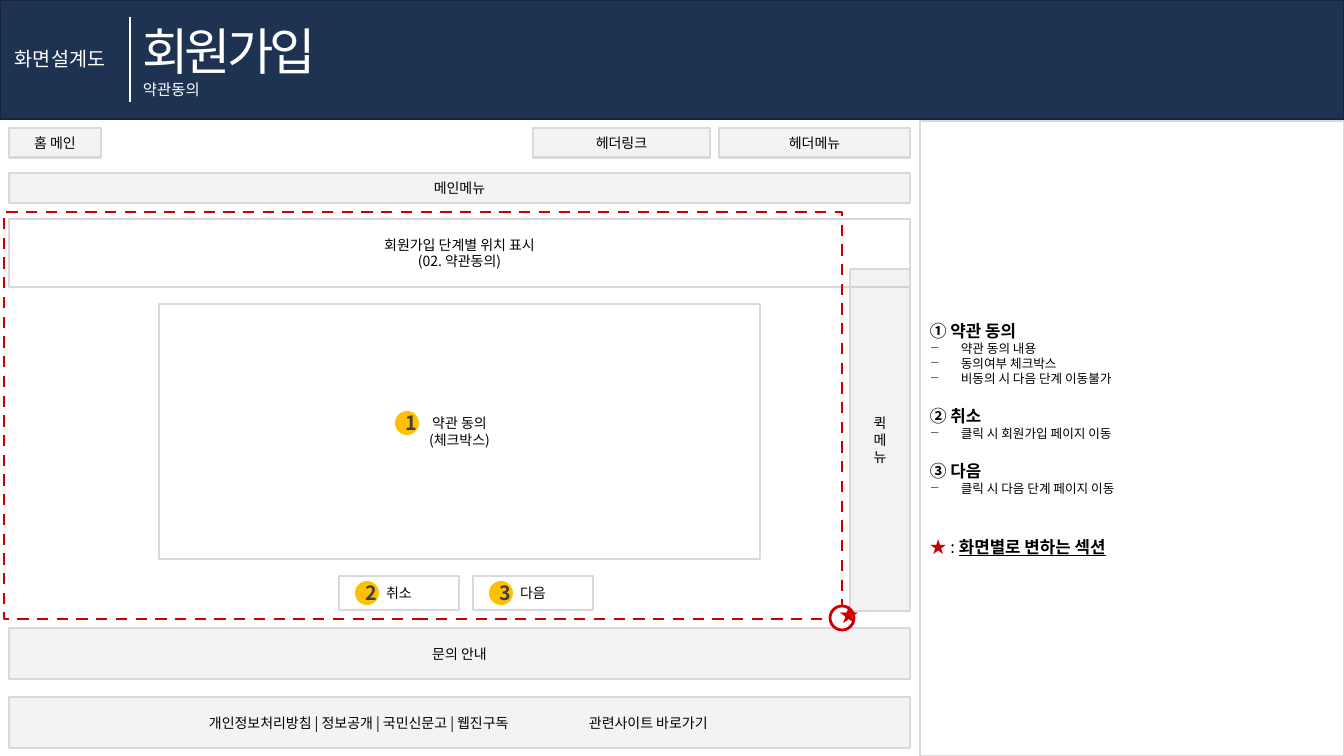
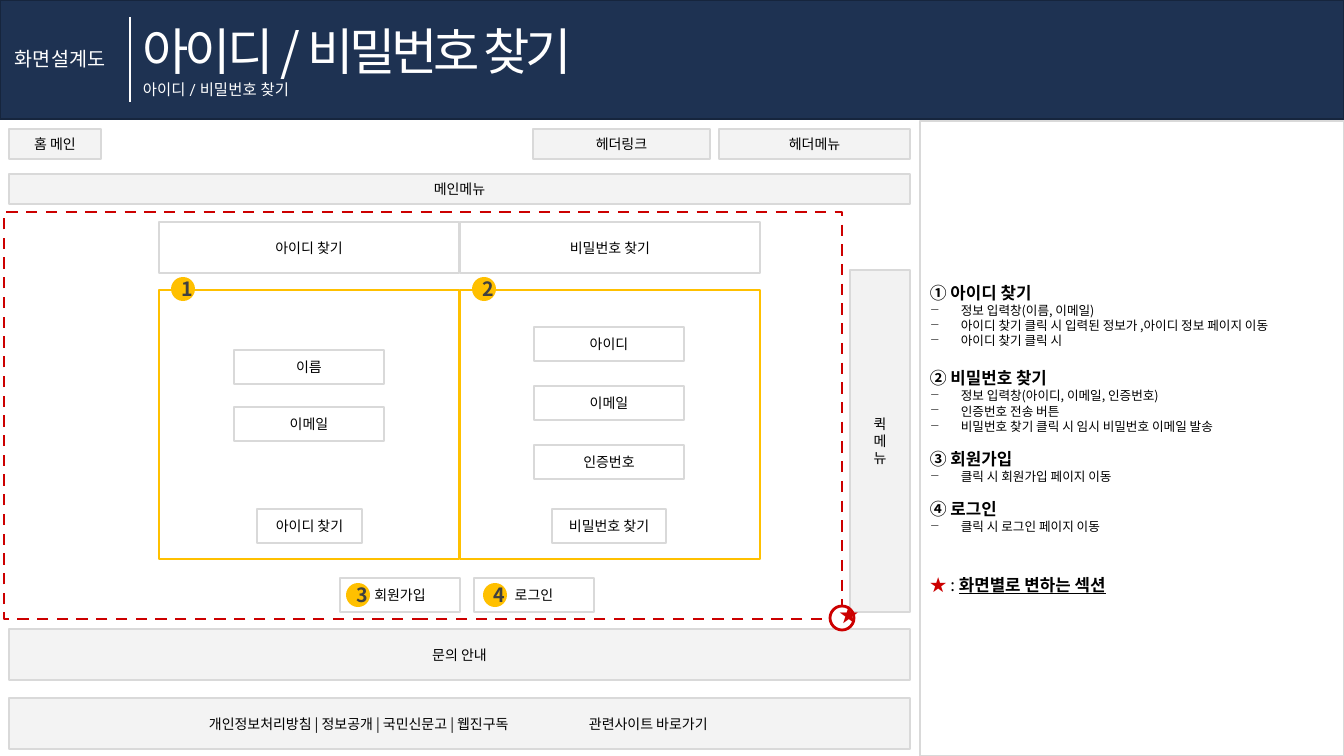
from dataclasses import dataclass

from lxml.etree import SubElement
from pptx import Presentation
from pptx.dml.color import RGBColor
from pptx.enum.dml import MSO_LINE_DASH_STYLE as Dash
from pptx.enum.shapes import MSO_CONNECTOR, MSO_SHAPE
from pptx.enum.text import MSO_ANCHOR, MSO_AUTO_SIZE, PP_ALIGN
from pptx.oxml.ns import qn
from pptx.util import Emu, Pt

PX = 914400 / 100.8
NOTO, ROBOTO = "Noto Sans CJK KR", "Roboto"
NAVY, NAVY_EDGE = "1E3252", "16253D"
WHITE, BLACK, GRAY, SILVER = "FFFFFF", "000000", "D9D9D9", "BFBFBF"
RED, AMBER, CHARCOAL = "CC0000", "FFC000", "404040"
LINE_RATIO = 1.2
NOTE_INDENT = 31
BADGE_SIZE = 24
FOOTER_LINKS = "개인정보처리방침 | 정보공개 | 국민신문고 | 웹진구독"
FOOTER_SITES = "관련사이트 바로가기"


@dataclass(frozen=True)
class Box:
    x: int
    y: int
    w: int
    h: int
    text: str = ""


@dataclass(frozen=True)
class Style:
    fill: str | None = WHITE
    line: str | None = GRAY
    width: float = 1
    alpha: int = 100
    dashed: bool = False


@dataclass(frozen=True)
class Note:
    title: str
    items: tuple[str, ...]
    gap: int = 20


@dataclass(frozen=True)
class Badge:
    x: int
    y: int
    number: int


@dataclass(frozen=True)
class Screen:
    title: str
    title_w: int
    subtitle: str
    subtitle_w: int
    shift: int
    boxes: tuple[Box, ...]
    notes: tuple[Note, ...]
    badges: tuple[Badge, ...]
    panels: tuple[Box, ...] = ()


PLAIN = Style()
FRAME = Style(GRAY, GRAY, 2, 30)
QUICK = Style(SILVER, GRAY, 2, 20)
BAND = Style(NAVY, NAVY_EDGE)
SECTION = Style(None, RED, 2, dashed=True)
MARKER = Style(WHITE, RED, 2)
DOT = Style(AMBER, None)
PANEL = Style(WHITE, AMBER, 2)

FRAME_BOXES = (
    Box(9, 173, 901, 30, "메인메뉴"),
    Box(9, 128, 92, 30, "홈 메인"),
    Box(719, 128, 191, 30, "헤더메뉴"),
    Box(533, 128, 177, 30, "헤더링크"),
    Box(9, 628, 901, 51, "문의 안내"),
)

SCREENS = (
    Screen(
        "회원가입", 207, "약관동의", 83, 0,
        boxes=(
            Box(9, 219, 901, 68, "회원가입 단계별 위치 표시\n(02. 약관동의)"),
            Box(159, 304, 601, 255, "약관 동의\n(체크박스)"),
            Box(339, 576, 120, 34, "취소"),
            Box(473, 576, 120, 34, "다음"),
        ),
        notes=(
            Note("① 약관 동의", ("약관 동의 내용", "동의여부 체크박스", "비동의 시 다음 단계 이동불가")),
            Note("② 취소", ("클릭 시 회원가입 페이지 이동",)),
            Note("③ 다음", ("클릭 시 다음 단계 페이지 이동",)),
        ),
        badges=(Badge(489, 581, 3), Badge(395, 411, 1), Badge(355, 581, 2)),
    ),
    Screen(
        "아이디 / 비밀번호 찾기", 497, "아이디 / 비밀번호 찾기", 176, 1,
        boxes=(
            Box(159, 222, 300, 51, "아이디 찾기"),
            Box(460, 222, 300, 51, "비밀번호 찾기"),
            Box(257, 509, 105, 34, "아이디 찾기"),
            Box(552, 509, 114, 34, "비밀번호 찾기"),
            Box(340, 578, 120, 34, "회원가입"),
            Box(474, 578, 120, 34, "로그인"),
            *(Box(234, 350 + 57 * i, 150, 34, t) for i, t in enumerate(("이름", "이메일"))),
            *(Box(534, 327 + 59 * i, 150, 34, t) for i, t in enumerate(("아이디", "이메일", "인증번호"))),
        ),
        notes=(
            Note("① 아이디 찾기", (
                "정보 입력창(이름, 이메일)",
                "아이디 찾기 클릭 시 입력된 정보가 ,아이디 정보 페이지 이동",
                "아이디 찾기 클릭 시",
            )),
            Note("② 비밀번호 찾기", (
                "정보 입력창(아이디, 이메일, 인증번호)",
                "인증번호 전송 버튼",
                "비밀번호 찾기 클릭 시 임시 비밀번호 이메일 발송",
            )),
            Note("③ 회원가입", ("클릭 시 회원가입 페이지 이동",), 15),
            Note("④ 로그인", ("클릭 시 로그인 페이지 이동",), 15),
        ),
        badges=(Badge(346, 583, 3), Badge(483, 583, 4), Badge(171, 277, 1), Badge(472, 277, 2)),
        panels=(Box(159, 290, 300, 269), Box(460, 290, 300, 269)),
    ),
)


def px(n: int) -> Emu:
    return Emu(round(n * PX))


def rgb(value: str) -> RGBColor:
    return RGBColor.from_string(value)


def place(box: Box, dy: int = 0) -> tuple[Emu, Emu, Emu, Emu]:
    return px(box.x), px(box.y + dy), px(box.w), px(box.h)


def add_run(p, text: str, size: int, color: str = BLACK, font: str = NOTO,
            bold: bool = False, underline: bool = False):
    r = p.add_run()
    r.text = text
    r.font.name = font
    r.font.size = Pt(size)
    r.font.bold = bold
    if underline:
        r.font.underline = True
    r.font.color.rgb = rgb(color)
    SubElement(r.font._element, qn("a:ea")).set("typeface", font)
    return r


def new_paragraph(tf, first: bool, size: int, align=PP_ALIGN.LEFT, before: int = 0):
    p = tf.paragraphs[0] if first else tf.add_paragraph()
    p.alignment = align
    p.line_spacing = Pt(size * LINE_RATIO)
    if before:
        p.space_before = px(before)
    return p


def add_shape(s, box: Box, style: Style, kind=MSO_SHAPE.RECTANGLE, dy: int = 0):
    sp = s.shapes.add_shape(kind, *place(box, dy))
    sp.shadow.inherit = False
    if style.fill:
        sp.fill.solid()
        sp.fill.fore_color.rgb = rgb(style.fill)
        if style.alpha < 100:
            color = sp.fill._xPr.find(qn("a:solidFill"))[0]
            SubElement(color, qn("a:alpha")).set("val", str(style.alpha * 1000))
    else:
        sp.fill.background()
    if style.line:
        sp.line.color.rgb = rgb(style.line)
        sp.line.width = Pt(style.width)
        if style.dashed:
            sp.line.dash_style = Dash.DASH
    else:
        sp.line.fill.background()
    sp.text_frame.word_wrap = True
    sp.text_frame.vertical_anchor = MSO_ANCHOR.MIDDLE
    return sp


def add_box(s, box: Box, style: Style, dy: int = 0) -> None:
    tf = add_shape(s, box, style, dy=dy).text_frame
    for i, line in enumerate(box.text.splitlines()):
        add_run(new_paragraph(tf, i == 0, 10, PP_ALIGN.CENTER), line, 10)


def add_label(s, box: Box, size: int, font: str = NOTO, spacing: int = 0) -> None:
    tf = s.shapes.add_textbox(*place(box)).text_frame
    tf.word_wrap = False
    tf.auto_size = MSO_AUTO_SIZE.SHAPE_TO_FIT_TEXT
    r = add_run(new_paragraph(tf, True, size), box.text, size, WHITE, font)
    if spacing:
        r.font._element.set("spc", str(spacing * 100))


def add_header(s, screen: Screen) -> None:
    add_shape(s, Box(0, 0, 1344, 119), BAND)
    add_label(s, Box(133, 15, screen.title_w, 71, screen.title), 36, spacing=-3)
    add_label(s, Box(5, 42, 119, 34, "화면설계도"), 14)
    rule = s.shapes.add_connector(MSO_CONNECTOR.STRAIGHT, px(130), px(17), px(130), px(102))
    rule.line.color.rgb = rgb(WHITE)
    rule.line.width = Pt(1.5)
    SubElement(rule._element.spPr, qn("a:effectLst"))
    add_label(s, Box(133, 75, screen.subtitle_w, 29, screen.subtitle), 11, ROBOTO)


def add_frame(s, dy: int) -> None:
    for box in FRAME_BOXES:
        add_box(s, box, FRAME, dy)
    add_box(s, Box(850, 269, 60, 342, "퀵\n메\n뉴"), QUICK, dy)
    tf = add_shape(s, Box(9, 697, 901, 51), FRAME, dy=dy).text_frame
    tf.margin_left = px(200)
    p = new_paragraph(tf, True, 10)
    tabs = SubElement(p._p.get_or_add_pPr(), qn("a:tabLst"))
    tab = SubElement(tabs, qn("a:tab"))
    tab.set("pos", str(px(380)))
    tab.set("algn", "l")
    add_run(p, f"{FOOTER_LINKS}\t{FOOTER_SITES}", 10)


def add_section(s) -> None:
    add_shape(s, Box(4, 212, 838, 407), SECTION)
    add_shape(s, Box(830, 606, 24, 24), MARKER, MSO_SHAPE.OVAL)
    tf = s.shapes.add_textbox(*place(Box(830, 598, 24, 34))).text_frame
    tf.word_wrap = True
    add_run(new_paragraph(tf, True, 14, PP_ALIGN.CENTER), "★", 14, RED)


def add_notes(s, notes: tuple[Note, ...]) -> None:
    tf = add_shape(s, Box(920, 121, 424, 635), PLAIN).text_frame
    for i, note in enumerate(notes):
        p = new_paragraph(tf, i == 0, 12, before=note.gap if i else 0)
        add_run(p, note.title, 12, bold=True)
        for item in note.items:
            p = new_paragraph(tf, False, 9)
            pPr = p._p.get_or_add_pPr()
            pPr.set("marL", str(px(NOTE_INDENT)))
            pPr.set("indent", str(-px(NOTE_INDENT)))
            SubElement(pPr, qn("a:buChar")).set("char", "−")
            add_run(p, item, 9)
    p = new_paragraph(tf, False, 12, before=40)
    add_run(p, "★ ", 12, RED, bold=True)
    add_run(p, ": ", 12)
    add_run(p, "화면별로 변하는 섹션", 12, bold=True, underline=True)


def add_badge(s, badge: Badge) -> None:
    box = Box(badge.x, badge.y, BADGE_SIZE, BADGE_SIZE)
    tf = add_shape(s, box, DOT, MSO_SHAPE.OVAL).text_frame
    p = new_paragraph(tf, True, 14, PP_ALIGN.CENTER)
    add_run(p, str(badge.number), 14, CHARCOAL, bold=True)


def add_screen(prs, screen: Screen) -> None:
    s = prs.slides.add_slide(prs.slide_layouts[6])
    add_header(s, screen)
    for panel in screen.panels:
        add_shape(s, panel, PANEL)
    for box in screen.boxes:
        add_box(s, box, PLAIN)
    add_frame(s, screen.shift)
    add_section(s)
    add_notes(s, screen.notes)
    for badge in screen.badges:
        add_badge(s, badge)


def main() -> None:
    prs = Presentation()
    prs.slide_width, prs.slide_height = px(1344), px(756)
    for screen in SCREENS:
        add_screen(prs, screen)
    prs.save("out.pptx")


if __name__ == "__main__":
    main()
